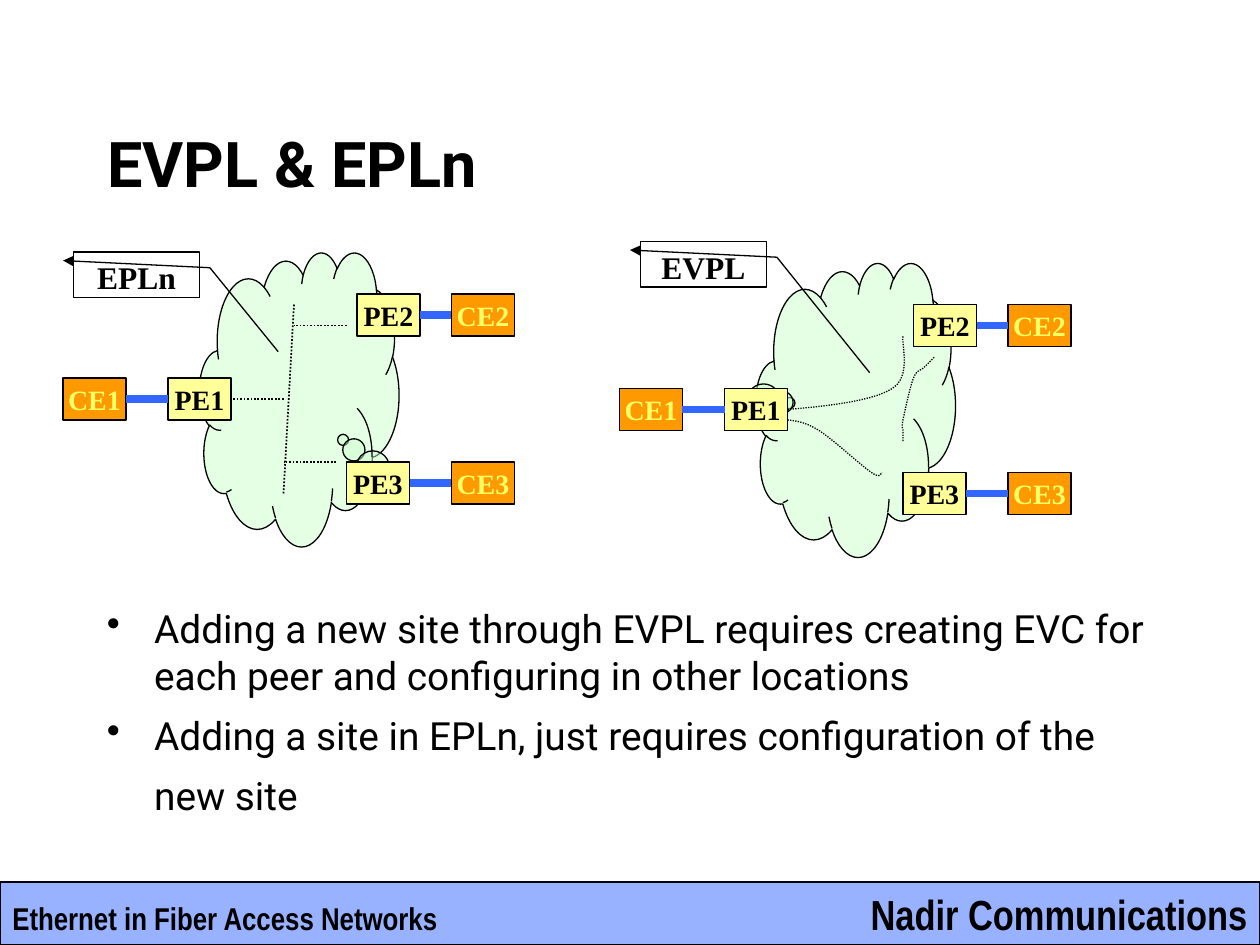
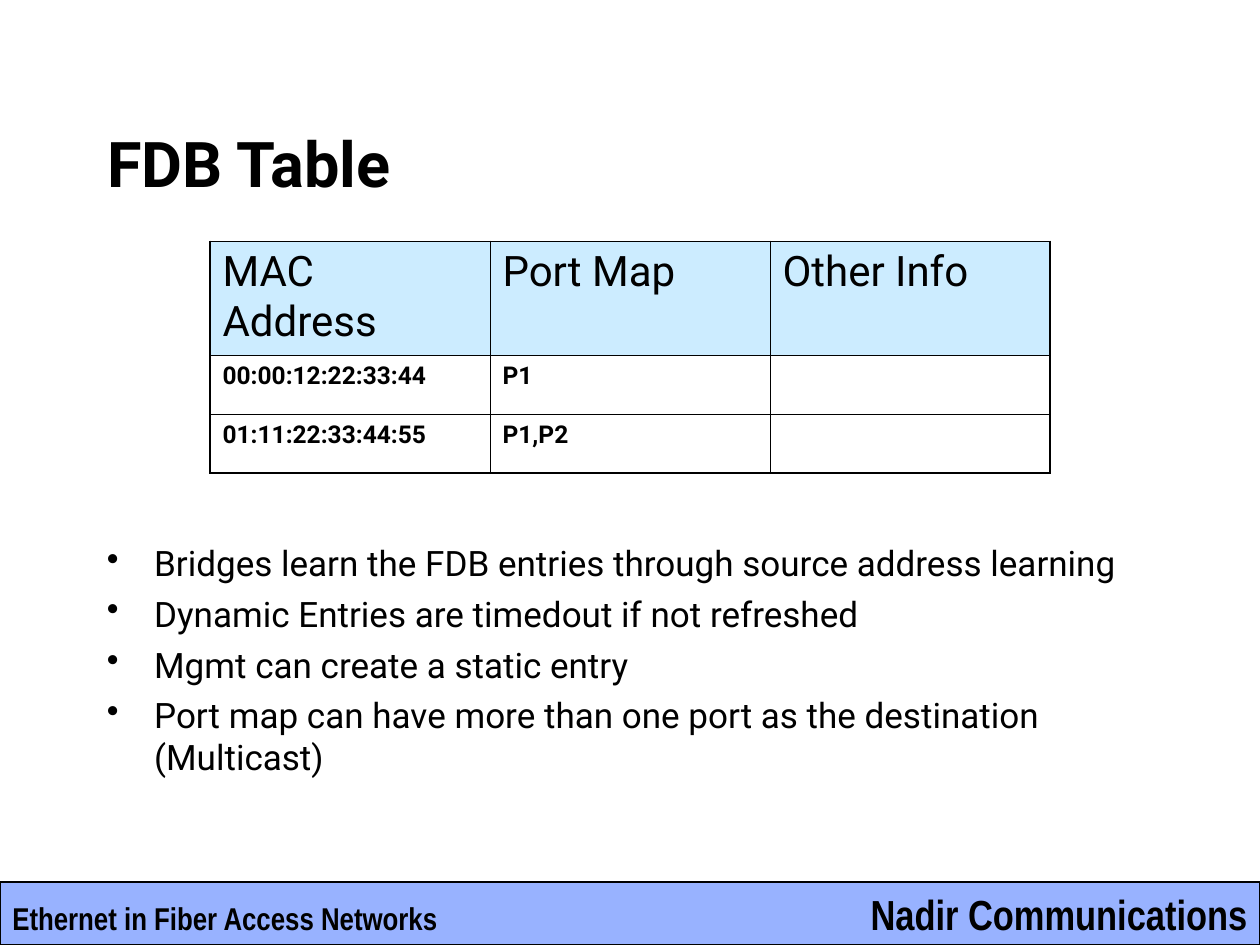
from dataclasses import dataclass

from lxml.etree import SubElement
from pptx import Presentation
from pptx.dml.color import RGBColor as RGB
from pptx.enum.dml import MSO_LINE
from pptx.enum.shapes import MSO_CONNECTOR, MSO_SHAPE
from pptx.enum.text import MSO_ANCHOR as ANCHOR, MSO_AUTO_SIZE, PP_ALIGN as ALIGN
from pptx.oxml.ns import qn
from pptx.util import Pt


@dataclass(frozen=True)
class Theme:
    ink: str = "000000"
    band: str = "3366FF"
    cloud: str = "CCFFCC"
    provider: str = "FFFF99"
    customer: str = "FF9900"
    customer_text: str = "FFFF66"
    header: str = "CCECFF"
    sans: str = "Roboto"
    serif: str = "Times New Roman"
    narrow: str = "Arial Narrow"
    title_size: float = 36
    company_size: float = 24
    topic_size: float = 18
    callout_size: float = 18
    node_size: float = 16
    header_size: float = 24
    entry_size: float = 14
    hairline: float = 0.75
    dotted: float = 1
    link: float = 4.5
    outer_border: float = 1.08
    inner_border: float = 0.45


THEME = Theme()
LEFT, RIGHT = 1, 3  # connection sites of a rectangle
NODE_W, NODE_H = 36, 24
NODES = {
    "CE1": (36, 216), "PE1": (96, 216),
    "PE2": (204, 168), "CE2": (258, 168),
    "PE3": (198, 264), "CE3": (258, 264),
}
LINKS = [("CE1", "PE1"), ("PE2", "CE2"), ("PE3", "CE3")]
# Each virtual connection: a start point, then cubic Bézier segments
EVC_CURVES = [
    [(450, 234), (474.5, 232), (499, 229), (510, 222),
     (521, 215), (515, 197), (516, 192)],
    [(516, 252), (516, 250), (516, 248), (516, 246),
     (516, 244), (515, 245), (516, 240), (517, 235), (520, 221), (522, 216),
     (524, 211), (526, 212), (528, 210), (530, 208), (532, 206), (534, 204)],
    [(450, 240), (455, 240.5), (460, 241), (468, 246),
     (476, 251), (492, 266), (498, 270), (504, 274), (503, 270), (504, 270)],
]
FDB = [
    ("MAC Address", "Port Map", "Other Info"),
    ("00:00:12:22:33:44", "P1", ""),
    ("01:11:22:33:44:55", "P1,P2", ""),
]


# Formatting helpers
def assign(target, **values):
    for name, value in values.items():
        setattr(target, name, value)


def points(*lengths):
    return [Pt(length) for length in lengths]


def write(paragraph, text, size, face, bold=False, color=THEME.ink):
    run = paragraph.add_run()
    run.text = text
    assign(run.font, size=Pt(size), name=face, bold=bold)
    run.font.color.rgb = RGB.from_string(color)


def stroke(line, width, color=THEME.ink, dash=None):
    line.color.rgb = RGB.from_string(color)
    line.width = Pt(width)
    if dash:
        line.dash_style = dash


def paint(fill, color, alpha=None):
    if color is None:
        fill.background()
        return
    fill.solid()
    fill.fore_color.rgb = RGB.from_string(color)


def make_translucent(shape, percent):
    color = shape._element.spPr.find(qn("a:solidFill"))[0]
    SubElement(color, qn("a:alpha"), val=str(percent * 1000))


# Element builders
def add_outline(slide, preset, box, color=None, adjustments=()):
    shape = slide.shapes.add_shape(preset, *points(*box))
    shape.shadow.inherit = False
    paint(shape.fill, color)
    stroke(shape.line, THEME.hairline)
    for index, value in enumerate(adjustments):
        shape.adjustments[index] = value
    return shape


def add_line(slide, start, end, width, color=THEME.ink, dash=None):
    line = slide.shapes.add_connector(
        MSO_CONNECTOR.STRAIGHT, *points(*start, *end))
    stroke(line.line, width, color, dash)
    SubElement(line._element.spPr, qn("a:effectLst"))
    return line


def add_dotted(slide, start, end):
    return add_line(slide, start, end, THEME.dotted, dash=MSO_LINE.ROUND_DOT)


def add_label(slide, box, text, size, align):
    frame = slide.shapes.add_textbox(*points(*box)).text_frame
    frame.word_wrap = False
    frame.paragraphs[0].alignment = align
    write(frame.paragraphs[0], text, size, THEME.narrow, bold=True)


def add_node(slide, name, left, top):
    is_customer = name.startswith("CE")
    fill = THEME.customer if is_customer else THEME.provider
    ink = THEME.customer_text if is_customer else THEME.ink
    node = add_outline(slide, MSO_SHAPE.RECTANGLE, (left, top, NODE_W, NODE_H), fill)
    assign(node.text_frame, word_wrap=False, vertical_anchor=ANCHOR.MIDDLE)
    label = node.text_frame.paragraphs[0]
    label.alignment = ALIGN.CENTER
    write(label, name, THEME.node_size, THEME.serif, True, ink)
    return node


def add_network(slide, dx, dy, tail):
    """Cloud with provider and customer edges; returns the nodes by name."""
    cloud = add_outline(slide, MSO_SHAPE.CLOUD_CALLOUT,
                        (114 + dx, 144 + dy, 114, 168), THEME.cloud, tail)
    make_translucent(cloud, 50)
    nodes = {name: add_node(slide, name, left + dx, top + dy)
             for name, (left, top) in NODES.items()}
    for west, east in LINKS:
        link = add_line(slide, (0, 0), (0, 0), THEME.link, THEME.band)
        link.begin_connect(nodes[west], RIGHT)
        link.end_connect(nodes[east], LEFT)
    return nodes


def add_service_callout(slide, name, left, top, target):
    callout = add_outline(slide, MSO_SHAPE.LINE_CALLOUT_2, (left, top, 72, 26),
                          adjustments=(0.188, -0.083, 0.346, 1.083, *target))
    SubElement(callout.line._get_or_add_ln(), qn("a:headEnd"), type="triangle")
    assign(callout.text_frame, word_wrap=True, vertical_anchor=ANCHOR.TOP)
    label = callout.text_frame.paragraphs[0]
    label.alignment = ALIGN.CENTER
    write(label, name, THEME.callout_size, THEME.serif, bold=True)


def bezier(p0, p1, p2, p3, steps=10):
    for step in range(1, steps + 1):
        t = step / steps
        u = 1 - t
        yield tuple(Pt(u**3 * a + 3 * u * u * t * b + 3 * u * t * t * c + t**3 * d)
                    for a, b, c, d in zip(p0, p1, p2, p3))


def add_curve(slide, controls):
    builder = slide.shapes.build_freeform(*points(*controls[0]))
    for i in range(0, len(controls) - 1, 3):
        builder.add_line_segments(list(bezier(*controls[i:i + 4])), close=False)
    curve = builder.convert_to_shape()
    curve.shadow.inherit = False
    paint(curve.fill, None)
    stroke(curve.line, THEME.hairline, dash=MSO_LINE.ROUND_DOT)


def add_bullets(slide, box, items, size, gap):
    frame = slide.shapes.add_textbox(*points(*box)).text_frame
    frame.word_wrap = True
    for index, item in enumerate(items):
        paragraph = frame.add_paragraph() if index else frame.paragraphs[0]
        properties = paragraph._p.get_or_add_pPr()
        properties.set("marL", str(Pt(27)))
        properties.set("indent", str(-Pt(27)))
        SubElement(properties, qn("a:buChar"), char="•")
        if index:
            paragraph.space_before = Pt(gap)
        write(paragraph, item, size, THEME.sans)
    return frame


def add_borders(cell, widths):
    properties = cell._tc.get_or_add_tcPr()
    for side, width in zip("LRTB", widths):
        border = SubElement(properties, qn(f"a:ln{side}"), w=str(Pt(width)))
        SubElement(SubElement(border, qn("a:solidFill")),
                   qn("a:srgbClr"), val=THEME.ink)


def add_fdb_table(slide, rows, left, top, column_width, heights):
    last_row, last_column = len(rows) - 1, len(rows[0]) - 1
    table = slide.shapes.add_table(
        len(rows), len(rows[0]),
        *points(left, top, column_width * len(rows[0]), sum(heights))).table
    assign(table, first_row=False, horz_banding=False)
    for column in table.columns:
        column.width = Pt(column_width)
    for r, entries in enumerate(rows):
        table.rows[r].height = Pt(heights[r])
        for c, entry in enumerate(entries):
            cell = table.cell(r, c)
            edges = (c == 0, c == last_column, r == 0, r == last_row)
            add_borders(cell, [THEME.outer_border if edge else THEME.inner_border
                               for edge in edges])
            paint(cell.fill, None if r else THEME.header)
            if entry:
                size = THEME.entry_size if r else THEME.header_size
                write(cell.text_frame.paragraphs[0], entry, size, THEME.sans, r > 0)


# Shared slide frame: footer band and title
def add_slide(deck, heading):
    slide = deck.slides.add_slide(deck.slide_layouts[5])
    band = add_outline(slide, MSO_SHAPE.RECTANGLE, (0, 504, 720, 36), THEME.band)
    make_translucent(band, 50)
    add_label(slide, (484.5, 504, 235.5, 36), "Nadir Communications",
              THEME.company_size, ALIGN.RIGHT)
    add_label(slide, (0, 510, 258, 29), "Ethernet in Fiber Access Networks",
              THEME.topic_size, ALIGN.LEFT)
    title = slide.shapes.title
    assign(title, left=Pt(54), top=Pt(48), width=Pt(612), height=Pt(90))
    assign(title.text_frame, word_wrap=True, vertical_anchor=ANCHOR.MIDDLE,
           auto_size=MSO_AUTO_SIZE.NONE)
    title.text_frame.paragraphs[0].alignment = ALIGN.LEFT
    write(title.text_frame.paragraphs[0], heading, THEME.title_size, THEME.sans, True)
    return slide


def build_services(deck):
    slide = add_slide(deck, "EVPL & EPLn")

    # EPLn: every site joins one shared spine
    epln = add_network(slide, 0, 0, (0.22, 0.139))
    add_dotted(slide, (162, 282), (168, 174))
    add_dotted(slide, (162, 228), (132, 228)).end_connect(epln["PE1"], RIGHT)
    add_dotted(slide, (198, 186), (168, 186))
    add_dotted(slide, (192, 264), (162, 264))
    add_service_callout(slide, "EPLn", 42, 144, (2.192, 1.625))

    # EVPL: one virtual connection for each pair of sites
    add_network(slide, 318, 6, (-0.332, -0.022))
    add_service_callout(slide, "EVPL", 366, 138, (2.885, 1.819))
    for controls in EVC_CURVES:
        add_curve(slide, controls)

    remarks = add_bullets(slide, (54, 342, 612, 138), [
        "Adding a new site through EVPL requires creating EVC for each peer "
        "and configuring in other locations",
        "Adding a site in EPLn, just requires configuration of the new site",
    ], 22.2, 8)
    # The larger closing space sets the height of the last line
    write(remarks.paragraphs[-1], " ", 29.6, THEME.sans)


def build_fdb(deck):
    slide = add_slide(deck, "FDB Table")
    add_fdb_table(slide, FDB, 120, 138, 160, (65, 33.75, 33.75))
    add_bullets(slide, (54, 306, 612, 174), [
        "Bridges learn the FDB entries through source address learning",
        "Dynamic Entries are timedout if not refreshed",
        "Mgmt can create a static entry",
        "Port map can have more than one port as the destination (Multicast)",
    ], 20, 5)


def main():
    deck = Presentation()
    assign(deck, slide_width=Pt(720), slide_height=Pt(540))
    build_services(deck)
    build_fdb(deck)
    deck.save("out.pptx")


if __name__ == "__main__":
    main()
